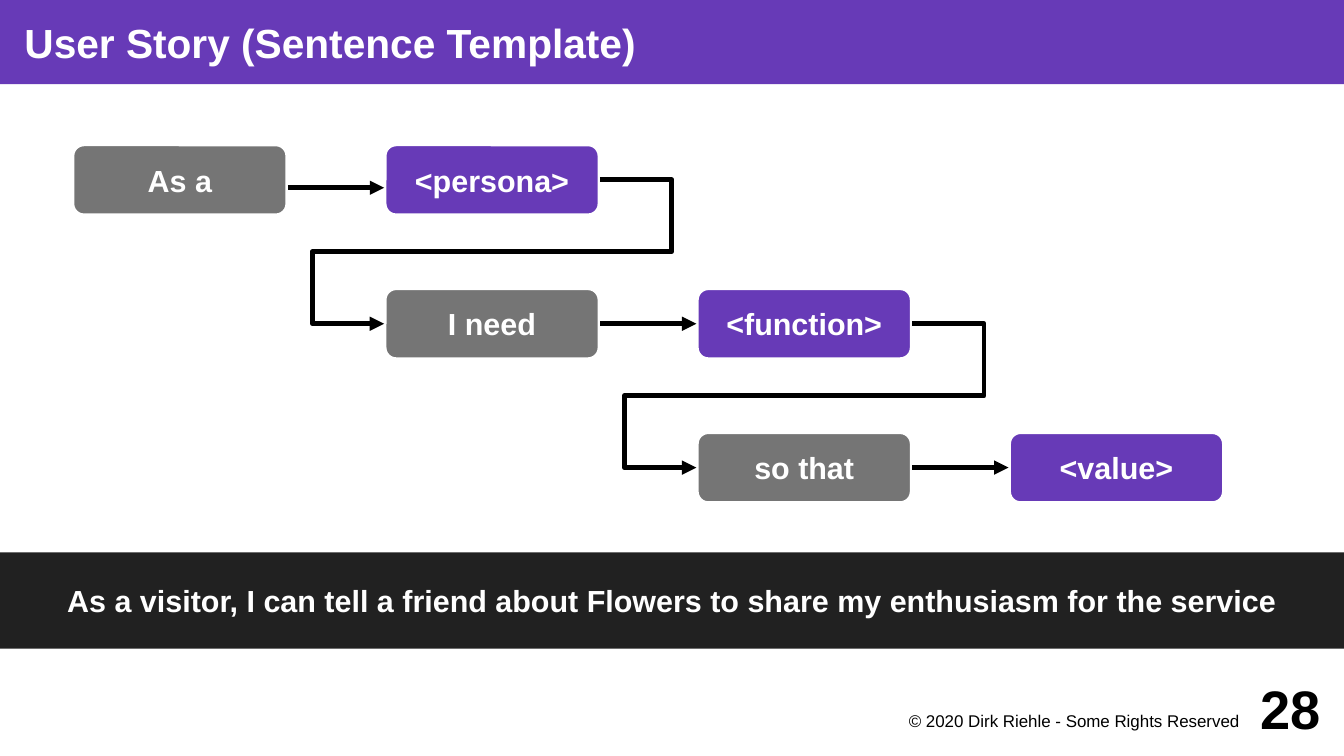
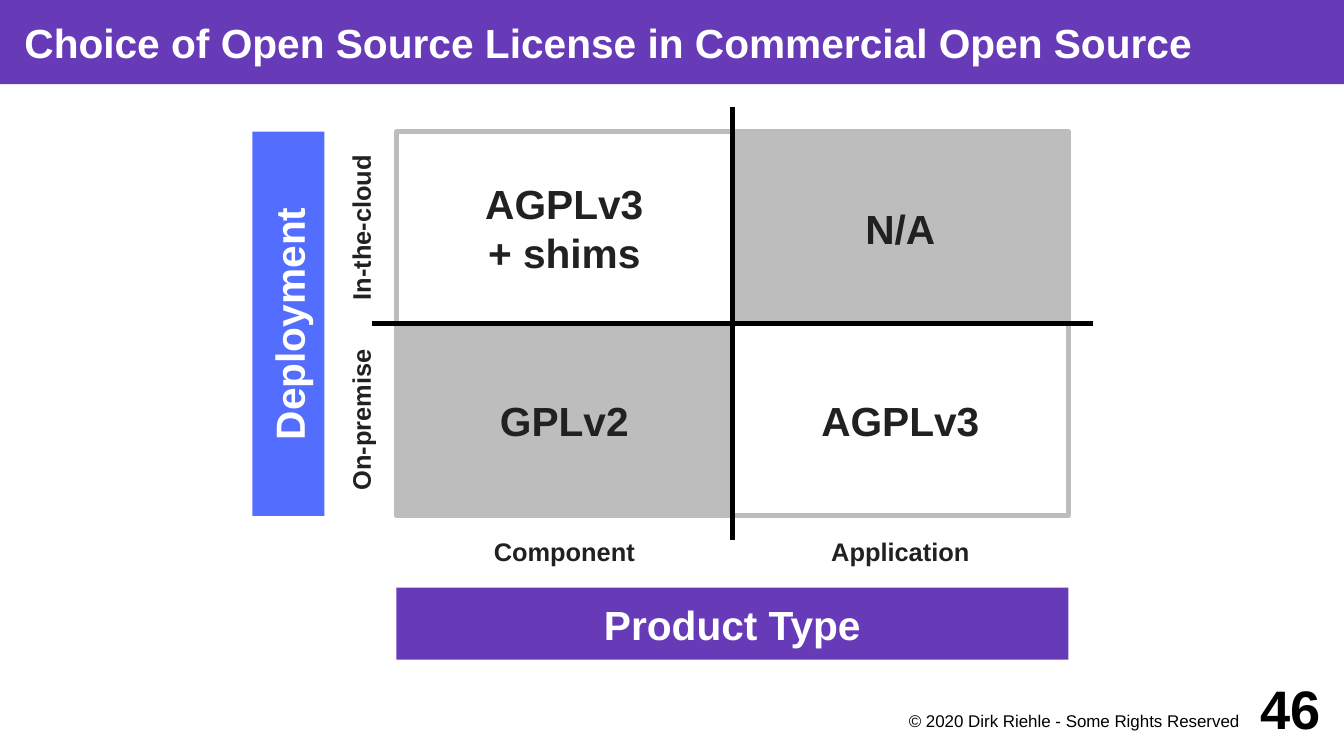
from lxml import etree
from pptx import Presentation
from pptx.dml.color import RGBColor
from pptx.enum.shapes import MSO_CONNECTOR, MSO_SHAPE
from pptx.enum.text import MSO_ANCHOR, MSO_AUTO_SIZE, PP_ALIGN
from pptx.oxml.ns import qn
from pptx.util import Inches, Pt

# Shared look
PURPLE = RGBColor(0x67, 0x3A, 0xB7)
BLUE = RGBColor(0x53, 0x6D, 0xFE)
GRAY = RGBColor(0x75, 0x75, 0x75)
LIGHT_GRAY = RGBColor(0xBD, 0xBD, 0xBD)
DARK = RGBColor(0x21, 0x21, 0x21)
BLACK = RGBColor(0, 0, 0)
WHITE = RGBColor(0xFF, 0xFF, 0xFF)
FONT = "Arial"
LINE_WIDTH = Pt(2.83)
SLIDE_W, SLIDE_H = 11.02, 6.2
TITLE_ONLY = 5

RECT, ROUND_RECT = MSO_SHAPE.RECTANGLE, MSO_SHAPE.ROUNDED_RECTANGLE
STRAIGHT, ELBOW = MSO_CONNECTOR.STRAIGHT, MSO_CONNECTOR.ELBOW
LEFT, CENTER, RIGHT = PP_ALIGN.LEFT, PP_ALIGN.CENTER, PP_ALIGN.RIGHT
TOP, MIDDLE = MSO_ANCHOR.TOP, MSO_ANCHOR.MIDDLE
NO_AUTOFIT = MSO_AUTO_SIZE.NONE
LEFT_SIDE, RIGHT_SIDE = 1, 3


def set_text(sp, text, size, color, bold=True, align=CENTER, anchor=MIDDLE,
             insets=(0.08, 0.08, 0.08, 0.08), wrap=True):
    tf = sp.text_frame
    tf.text = text
    tf.auto_size = NO_AUTOFIT
    tf.word_wrap = wrap
    tf.vertical_anchor = anchor
    (tf.margin_left, tf.margin_top,
     tf.margin_right, tf.margin_bottom) = map(Inches, insets)
    for p in tf.paragraphs:
        p.alignment = align
        for r in p.runs:
            r.font.name, r.font.size = FONT, Pt(size)
            r.font.bold, r.font.color.rgb = bold, color


def add_box(slide, at, fill=None, line=None, shape=RECT):
    sp = slide.shapes.add_shape(shape, *map(Inches, at))
    sp.shadow.inherit = False
    if fill is None:
        sp.fill.background()
    else:
        sp.fill.solid()
        sp.fill.fore_color.rgb = fill
    if line is None:
        sp.line.fill.background()
    else:
        sp.line.color.rgb = line
        sp.line.width = LINE_WIDTH
    return sp


def add_label(slide, at, text, size, color, **style):
    sp = slide.shapes.add_textbox(*map(Inches, at))
    set_text(sp, text, size, color, **style)
    return sp


def add_line(slide, start, end, kind=STRAIGHT, arrow=False):
    cx = slide.shapes.add_connector(kind, *map(Inches, start + end))
    cx.line.color.rgb = BLACK
    cx.line.width = LINE_WIDTH
    if arrow:
        etree.SubElement(cx.line._get_or_add_ln(), qn("a:tailEnd"), type="triangle")
    etree.SubElement(cx._element.spPr, qn("a:effectLst"))
    return cx


def join(cx, source, target):
    """Run a connector from the right side of source to the left side of target."""
    cx.begin_connect(source, RIGHT_SIDE)
    cx.end_connect(target, LEFT_SIDE)


def make_s_bend(cx):
    """Route an elbow out to the right, back between the rows, in from the left."""
    geom = cx._element.spPr.find(qn("a:prstGeom"))
    geom.set("prst", "bentConnector5")
    guides = geom.find(qn("a:avLst"))
    for i, value in enumerate((-33333, 50000, 133333), start=1):
        etree.SubElement(guides, qn("a:gd"), name=f"adj{i}", fmla=f"val {value}")


def add_slide(prs, title, number):
    slide = prs.slides.add_slide(prs.slide_layouts[TITLE_ONLY])
    # Title band
    sp = slide.shapes.title
    sp.left, sp.top, sp.width, sp.height = map(Inches, (0, 0, SLIDE_W, 0.69))
    sp.fill.solid()
    sp.fill.fore_color.rgb = PURPLE
    set_text(sp, title, 24, WHITE, align=LEFT, insets=(0.2, 0, 0, 0))
    # Footer
    add_label(slide, (7.09, 5.81, 3.15, 0.3),
              "© 2020 Dirk Riehle - Some Rights Reserved", 10, BLACK,
              bold=False, align=RIGHT, anchor=TOP, insets=(0, 0.02, 0.08, 0))
    add_label(slide, (10.04, 5.51, 0.79, 0.59), str(number), 32, BLACK,
              align=RIGHT, insets=(0, 0, 0, 0))
    return slide


def build_user_story(prs):
    slide = add_slide(prs, "User Story (Sentence Template)", 28)

    # Each row starts one column further right
    left, top, step_x, step_y = 0.59, 1.18, 2.56, 1.18
    box_w, box_h = 1.77, 0.59
    phrases = [("As a", "<persona>"), ("I need", "<function>"), ("so that", "<value>")]
    rows = []
    for i, pair in enumerate(phrases):
        row = []
        for j, (text, fill) in enumerate(zip(pair, (GRAY, PURPLE))):
            at = (left + (i + j) * step_x, top + i * step_y, box_w, box_h)
            sp = add_box(slide, at, fill, WHITE, ROUND_RECT)
            set_text(sp, text, 18, WHITE, wrap=False)
            row.append(sp)
        rows.append(row)

    # Arrows within rows; the first runs slightly below the middle
    add_line(slide, (left + box_w, 1.54), (left + step_x, 1.54), arrow=True)
    for lead, slot in rows[1:]:
        join(add_line(slide, (0, 0), (1, 0), arrow=True), lead, slot)

    # Arrows from each row to the next
    for (_, slot), (lead, _) in zip(rows, rows[1:]):
        cx = add_line(slide, (1, 0), (0, 1), ELBOW, arrow=True)
        join(cx, slot, lead)
        make_s_bend(cx)

    # Example band
    band = add_box(slide, (0, 4.53, SLIDE_W, 0.79), DARK)
    set_text(band, "As a visitor, I can tell a friend about Flowers "
             "to share my enthusiasm for the service", 18, WHITE)


def build_license_matrix(prs):
    slide = add_slide(prs, "Choice of Open Source License in Commercial Open Source", 46)
    left, top, cell_w, cell_h = 3.25, 1.08, 2.755, 1.575
    mid_x, mid_y = left + cell_w, top + cell_h
    width, height = 2 * cell_w, 2 * cell_h
    bar, overhang = 0.59, 0.2

    # Quadrants
    cells = [[("AGPLv3\n+ shims", WHITE), ("N/A", LIGHT_GRAY)],
             [("GPLv2", LIGHT_GRAY), ("AGPLv3", WHITE)]]
    for i, row in enumerate(cells):
        for j, (text, fill) in enumerate(row):
            at = (left + j * cell_w, top + i * cell_h, cell_w, cell_h)
            set_text(add_box(slide, at, fill, WHITE), text, 24, DARK, wrap=False)

    # Category labels
    for j, text in enumerate(("Component", "Application")):
        add_label(slide, (left + j * cell_w, top + height, cell_w, bar), text, 15, DARK)
    for i, text in enumerate(("In-the-cloud", "On-premise")):
        at = (2.17, top + (i + 0.5) * cell_h - bar / 2, cell_w - 1.18, bar)
        add_label(slide, at, text, 15, DARK).rotation = 270

    # Axis bars
    product = add_box(slide, (left, 4.82, width, bar), PURPLE)
    set_text(product, "Product Type", 24, WHITE, insets=(0, 0, 0, 0))
    deployment = add_box(slide, (0.79, mid_y - bar / 2, height, bar), BLUE)
    set_text(deployment, "Deployment", 24, WHITE, insets=(0, 0, 0, 0))
    deployment.rotation = 270

    # Frame and axes
    add_box(slide, (left, top, width, height), line=LIGHT_GRAY)
    add_line(slide, (left - overhang, mid_y), (left + width + overhang, mid_y))
    add_line(slide, (mid_x, top + height + overhang), (mid_x, top - overhang))


def main():
    prs = Presentation()
    prs.slide_width, prs.slide_height = Inches(SLIDE_W), Inches(SLIDE_H)
    build_user_story(prs)
    build_license_matrix(prs)
    prs.save("out.pptx")


if __name__ == "__main__":
    main()
